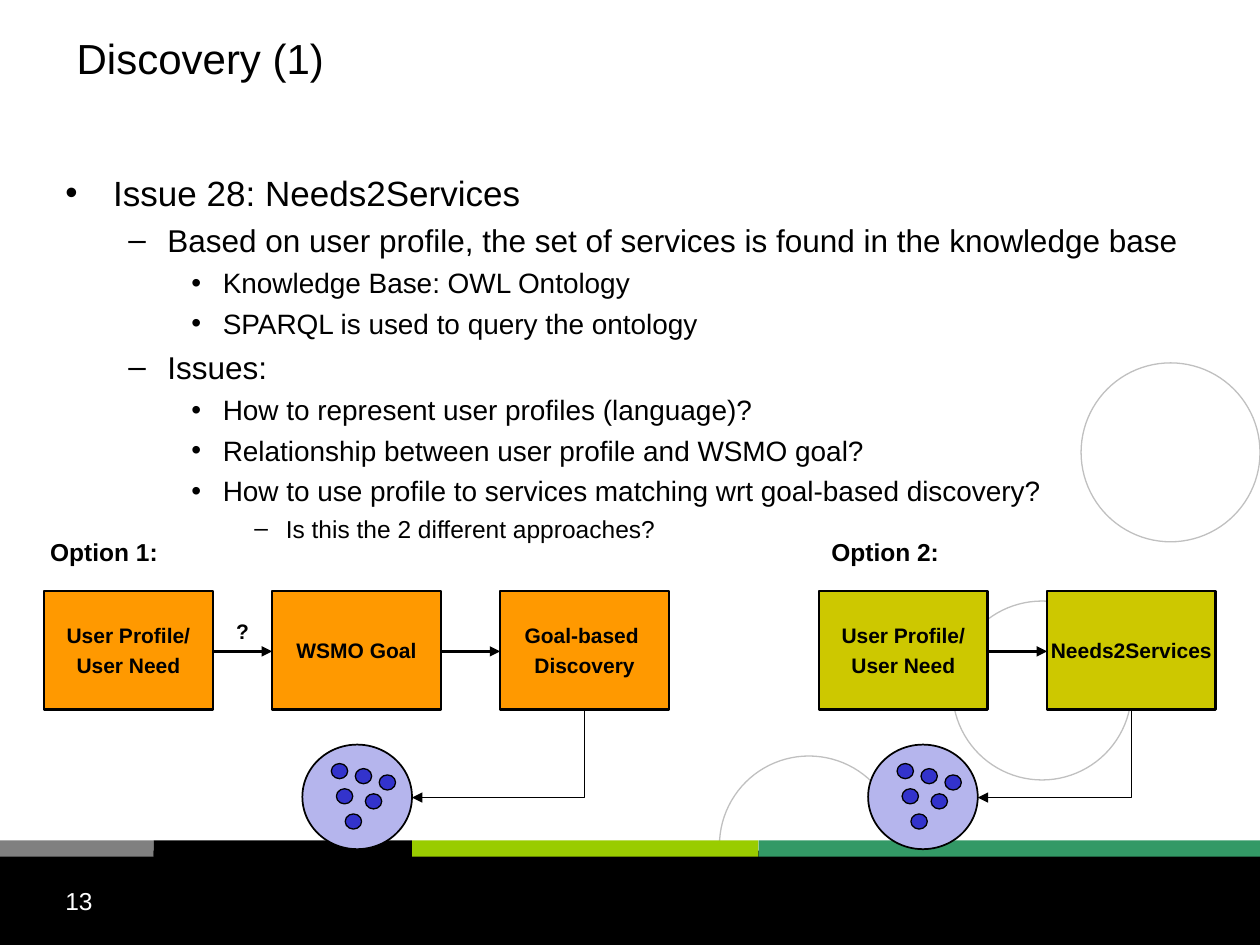
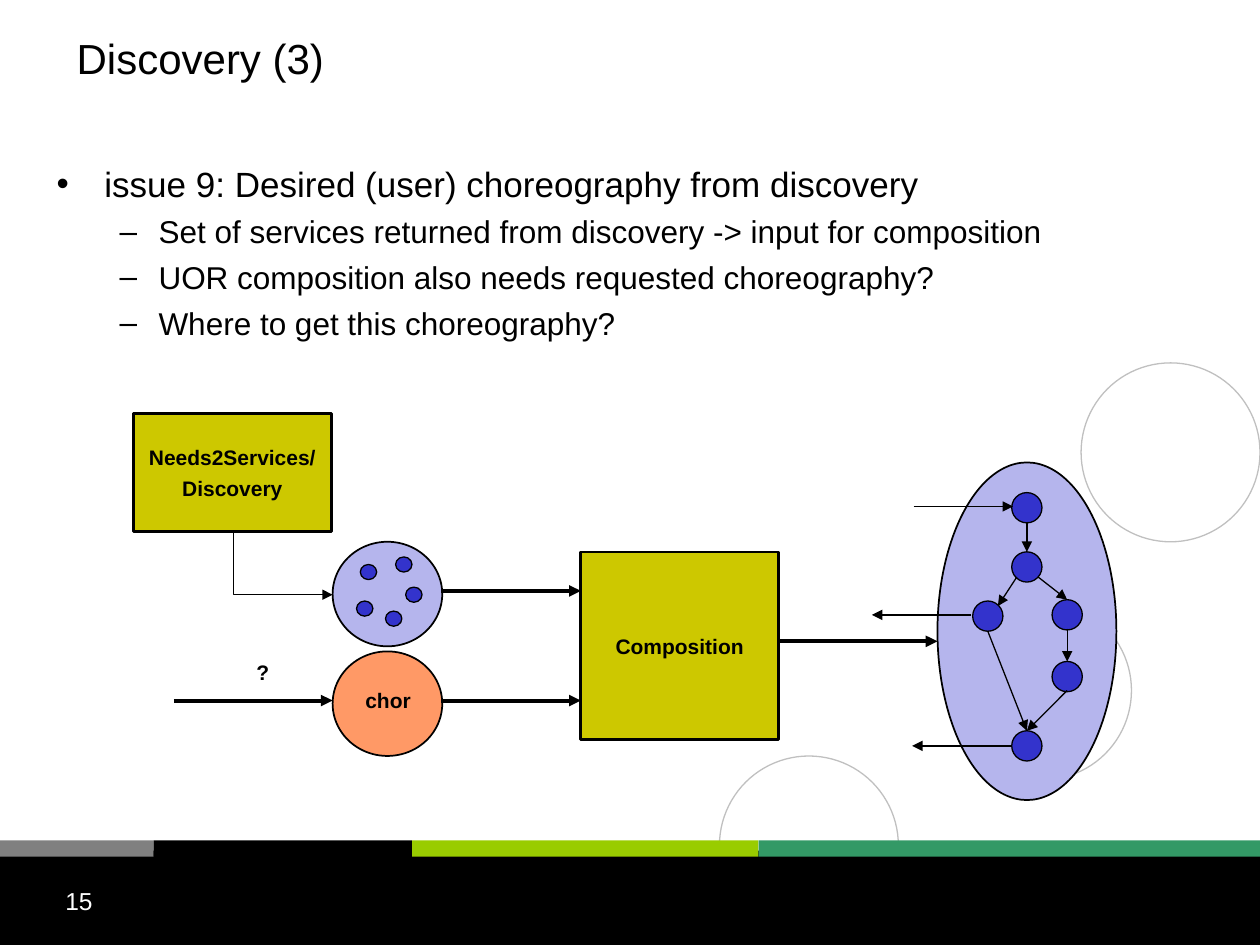
"""Build two slides on service discovery, with lengths in px at 100 px to the inch."""
from typing import NamedTuple, Sequence

from lxml.etree import SubElement
from pptx import Presentation
from pptx.dml.color import RGBColor
from pptx.enum.shapes import MSO_CONNECTOR, MSO_SHAPE
from pptx.enum.text import MSO_ANCHOR, PP_ALIGN
from pptx.oxml.ns import qn
from pptx.util import Emu, Pt

EMU_PER_PX = 9144
FONT = "Arial"
BLACK = RGBColor(0x00, 0x00, 0x00)
WHITE = RGBColor(0xFF, 0xFF, 0xFF)
SILVER = RGBColor(0xC0, 0xC0, 0xC0)
GRAY = RGBColor(0x80, 0x80, 0x80)
LIME = RGBColor(0x99, 0xCC, 0x00)
GREEN = RGBColor(0x33, 0x99, 0x66)
ORANGE = RGBColor(0xFF, 0x99, 0x00)
SALMON = RGBColor(0xFF, 0x99, 0x66)
OLIVE = RGBColor(0xCD, 0xC8, 0x00)
LAVENDER = RGBColor(0xB5, 0xB5, 0xED)
BLUE = RGBColor(0x33, 0x33, 0xCC)


class Area(NamedTuple):
    """A rectangle in px."""
    left: int
    top: int
    width: int
    height: int


class Point(NamedTuple):
    """A place in px."""
    x: int
    y: int


class Band(NamedTuple):
    """A coloured strip of the footer."""
    area: Area
    color: RGBColor


class Level(NamedTuple):
    """The look of one outline level."""
    margin: int
    hang: int
    bullet: str
    size: int


class Item(NamedTuple):
    """One line of the outline."""
    level: int
    text: str


class Step(NamedTuple):
    """A labelled process box."""
    area: Area
    lines: Sequence[str]
    color: RGBColor


class Link(NamedTuple):
    """A straight arrow."""
    start: Point
    end: Point


RINGS = [Point(571, 600), Point(756, 477), Point(858, 288)]
RING_SIZE = 142
FOOTER = Band(Area(0, 675, 1000, 75), BLACK)
STRIPES = [
    Band(Area(0, 667, 122, 13), GRAY),
    Band(Area(122, 667, 205, 13), BLACK),
    Band(Area(327, 667, 275, 13), LIME),
    Band(Area(602, 667, 398, 13), GREEN),
]
LEVELS = [
    Level(38, 38, "•", 20),
    Level(81, 31, "–", 18),
    Level(125, 25, "•", 16),
    Level(175, 25, "–", 14),
]
PROFILE = ["User Profile/", "User Need"]
STEP_TOP, STEP_WIDTH, STEP_HEIGHT, STEP_PITCH = 469, 134, 94, 181
FLOW_Y = 517
POOL_WIDTH, POOL_HEIGHT = 87, 83
NODE_SIZE = 24

NEEDS_OUTLINE = [
    Item(0, "Issue 28: Needs2Services"),
    Item(1, "Based on user profile, the set of services is found in the knowledge base"),
    Item(2, "Knowledge Base: OWL Ontology"),
    Item(2, "SPARQL is used to query the ontology"),
    Item(1, "Issues:"),
    Item(2, "How to represent user profiles (language)?"),
    Item(2, "Relationship between user profile and WSMO goal?"),
    Item(2, "How to use profile to services matching wrt goal-based discovery?"),
    Item(3, "Is this the 2 different approaches?"),
]
NEEDS_SERVICES = [Point(42, 19), Point(27, 35), Point(50, 39),
                  Point(34, 55), Point(61, 24), Point(23, 15)]

CHOREOGRAPHY_OUTLINE = [
    Item(0, "issue 9: Desired (user) choreography from discovery"),
    Item(1, "Set of services returned from discovery -> input for composition"),
    Item(1, "UOR composition also needs requested choreography?"),
    Item(1, "Where to get this choreography?"),
]
FOUND_SERVICES = [Point(50, 12), Point(19, 47), Point(42, 55), Point(58, 36), Point(22, 18)]
COMPOSED_NODES = [Point(803, 438), Point(772, 477), Point(835, 476),
                  Point(835, 525), Point(803, 580), Point(803, 391)]
COMPOSED_LINKS = [
    Link(Point(815, 414), Point(815, 438)),
    Link(Point(824, 458), Point(847, 476)),
    Link(Point(807, 458), Point(792, 481)),
    Link(Point(784, 501), Point(815, 580)),
    Link(Point(847, 499), Point(847, 525)),
    Link(Point(847, 548), Point(815, 580)),
    Link(Point(725, 402), Point(804, 402)),
    Link(Point(771, 488), Point(692, 488)),
    Link(Point(803, 592), Point(724, 592)),
]
MAIN_LINKS = [
    Link(Point(350, 469), Point(461, 469)),
    Link(Point(350, 556), Point(461, 556)),
    Link(Point(138, 556), Point(264, 556)),
    Link(Point(618, 509), Point(744, 509)),
]


def px(length: int) -> Emu:
    """Turn px into EMU."""
    return Emu(length * EMU_PER_PX)


def add_run(paragraph, text: str, size: int, color: RGBColor = BLACK, bold: bool = False) -> None:
    """Append one formatted run."""
    run = paragraph.add_run()
    run.text = text
    run.font.name = FONT
    run.font.size = Pt(size)
    run.font.bold = bold
    run.font.color.rgb = color


def add_figure(slide, kind: MSO_SHAPE, area: Area, fill: RGBColor | None,
               line: RGBColor | None = BLACK, weight: float = 0.75):
    """Draw a preset shape."""
    figure = slide.shapes.add_shape(kind, *map(px, area))
    figure.shadow.inherit = False
    if fill is None:
        figure.fill.background()
    else:
        figure.fill.solid()
        figure.fill.fore_color.rgb = fill
    if line is None:
        figure.line.fill.background()
    else:
        figure.line.color.rgb = line
        figure.line.width = Pt(weight)
    return figure


def write_label(frame, lines: Sequence[str], size: int = 12,
                align: PP_ALIGN = PP_ALIGN.CENTER) -> None:
    """Write bold lines that stay unwrapped around the middle."""
    frame.word_wrap = False
    frame.vertical_anchor = MSO_ANCHOR.MIDDLE
    for index, line in enumerate(lines):
        paragraph = frame.add_paragraph() if index else frame.paragraphs[0]
        paragraph.alignment = align
        paragraph.space_before = Pt(size / 4)
        add_run(paragraph, line, size, bold=True)


def add_label(slide, area: Area, text: str, size: int = 12,
              align: PP_ALIGN = PP_ALIGN.CENTER) -> None:
    """Place a free bold label."""
    write_label(slide.shapes.add_textbox(*map(px, area)).text_frame, [text], size, align)


def add_text(slide, area: Area, text: str, size: int, color: RGBColor, anchor: MSO_ANCHOR) -> None:
    """Place one line of plain text."""
    frame = slide.shapes.add_textbox(*map(px, area)).text_frame
    frame.word_wrap = True
    frame.vertical_anchor = anchor
    add_run(frame.paragraphs[0], text, size, color)


def add_outline(slide, area: Area, items: Sequence[Item]) -> None:
    """Write the bulleted outline."""
    frame = slide.shapes.add_textbox(*map(px, area)).text_frame
    frame.word_wrap = True
    for index, item in enumerate(items):
        level = LEVELS[item.level]
        paragraph = frame.add_paragraph() if index else frame.paragraphs[0]
        paragraph.level = item.level
        paragraph.space_before = Pt(level.size / 4)
        properties = paragraph._p.get_or_add_pPr()
        properties.set("marL", str(px(level.margin)))
        properties.set("indent", str(px(-level.hang)))
        SubElement(properties, qn("a:buFont")).set("typeface", FONT)
        SubElement(properties, qn("a:buChar")).set("char", level.bullet)
        add_run(paragraph, item.text, level.size)


def add_arrow(slide, link: Link, weight: float = 0.75, kind: MSO_CONNECTOR = MSO_CONNECTOR.STRAIGHT):
    """Draw a connector with a triangle at its end."""
    arrow = slide.shapes.add_connector(kind, *map(px, (*link.start, *link.end)))
    arrow.line.color.rgb = BLACK
    arrow.line.width = Pt(weight)
    SubElement(arrow.line._get_or_add_ln(), qn("a:tailEnd")).set("type", "triangle")
    SubElement(arrow._element.spPr, qn("a:effectLst"))
    return arrow


def add_corner_arrow(slide, link: Link) -> None:
    """Draw an arrow that goes down and then sideways."""
    arrow = add_arrow(slide, link, kind=MSO_CONNECTOR.ELBOW)
    rightward = link.end.x > link.start.x
    across, down = abs(link.end.x - link.start.x), link.end.y - link.start.y
    properties = arrow._element.spPr
    properties.find(qn("a:prstGeom")).set("prst", "bentConnector2")
    frame = properties.find(qn("a:xfrm"))
    frame.set("rot", str((270 if rightward else 90) * 60000))
    frame.set("flipH", "1" if rightward else "0")
    arrow.left = px(min(link.start.x, link.end.x)) + px(across - down) // 2
    arrow.top = px(link.start.y) + px(down - across) // 2
    arrow.width, arrow.height = px(down), px(across)


def add_step(slide, step: Step) -> None:
    """Draw a process box."""
    box = add_figure(slide, MSO_SHAPE.RECTANGLE, step.area, step.color, weight=1.5)
    write_label(box.text_frame, step.lines)


def add_pool(slide, corner: Point, services: Sequence[Point]) -> None:
    """Draw a set of services as dots in a circle."""
    add_figure(slide, MSO_SHAPE.OVAL, Area(*corner, POOL_WIDTH, POOL_HEIGHT), LAVENDER, weight=1)
    for service in services:
        dot = Area(corner.x + service.x, corner.y + service.y, 13, 12)
        add_figure(slide, MSO_SHAPE.OVAL, dot, BLUE)


def add_option(slide, left: int, steps: Sequence[Sequence[str]], color: RGBColor, pool: Point) -> None:
    """Draw a chain of steps that ends in a set of services."""
    for index, lines in enumerate(steps):
        x = left + index * STEP_PITCH
        add_step(slide, Step(Area(x, STEP_TOP, STEP_WIDTH, STEP_HEIGHT), lines, color))
        if index:
            start = Point(x - STEP_PITCH + STEP_WIDTH, FLOW_Y)
            add_arrow(slide, Link(start, Point(x, FLOW_Y)), 1.5)
    add_pool(slide, pool, NEEDS_SERVICES)
    target = Point(pool.x + POOL_WIDTH, pool.y + 42)
    add_corner_arrow(slide, Link(Point(x + STEP_WIDTH // 2, STEP_TOP + STEP_HEIGHT), target))


def start_slide(deck, title: str, number: str):
    """Add a slide with the shared rings, bands, title and number."""
    slide = deck.slides.add_slide(deck.slide_layouts[6])
    for ring in RINGS:
        add_figure(slide, MSO_SHAPE.OVAL, Area(*ring, RING_SIZE, RING_SIZE), None, SILVER)
    for band in [FOOTER, *STRIPES]:
        add_figure(slide, MSO_SHAPE.RECTANGLE, band.area, band.color, None)
    add_text(slide, Area(51, 0, 783, 92), title, 24, BLACK, MSO_ANCHOR.MIDDLE)
    add_text(slide, Area(42, 698, 233, 52), number, 14, WHITE, MSO_ANCHOR.TOP)
    return slide


def build_needs_slide(deck) -> None:
    """Build the slide with the two discovery options."""
    slide = start_slide(deck, "Discovery (1)", "13")
    add_outline(slide, Area(42, 131, 915, 511), NEEDS_OUTLINE)
    add_option(slide, 35, [PROFILE, ["WSMO Goal"], ["Goal-based ", "Discovery"]],
               ORANGE, Point(240, 591))
    add_option(slide, 650, [PROFILE, ["Needs2Services"]], OLIVE, Point(689, 591))
    add_label(slide, Area(169, 485, 47, 32), "?")
    for left, option in ((30, "Option 1:"), (650, "Option 2:")):
        add_label(slide, Area(left, 422, 110, 32), option, 14, PP_ALIGN.LEFT)


def build_choreography_slide(deck) -> None:
    """Build the slide that leads from discovery to composition."""
    slide = start_slide(deck, "Discovery (3)", "15")
    add_outline(slide, Area(35, 124, 915, 511), CHOREOGRAPHY_OUTLINE)
    add_step(slide, Step(Area(106, 328, 157, 94), ["Needs2Services/", "Discovery"], OLIVE))
    add_step(slide, Step(Area(461, 438, 157, 149), ["Composition"], OLIVE))
    add_pool(slide, Point(264, 430), FOUND_SERVICES)
    add_corner_arrow(slide, Link(Point(185, 423), Point(264, 472)))
    add_figure(slide, MSO_SHAPE.OVAL, Area(264, 517, POOL_WIDTH, POOL_HEIGHT), SALMON, weight=1)
    add_label(slide, Area(185, 517, 47, 32), "?")
    add_label(slide, Area(268, 540, 80, 32), "chor")
    add_figure(slide, MSO_SHAPE.OVAL, Area(744, 367, 142, 268), LAVENDER, weight=1)
    for node in COMPOSED_NODES:
        add_figure(slide, MSO_SHAPE.OVAL, Area(*node, NODE_SIZE, NODE_SIZE), BLUE)
    for links, weight in ((COMPOSED_LINKS, 0.75), (MAIN_LINKS, 2.25)):
        for link in links:
            add_arrow(slide, link, weight)


def main() -> None:
    """Build and save the deck."""
    deck = Presentation()
    deck.slide_width, deck.slide_height = px(1000), px(750)
    build_needs_slide(deck)
    build_choreography_slide(deck)
    deck.save("out.pptx")


if __name__ == "__main__":
    main()
